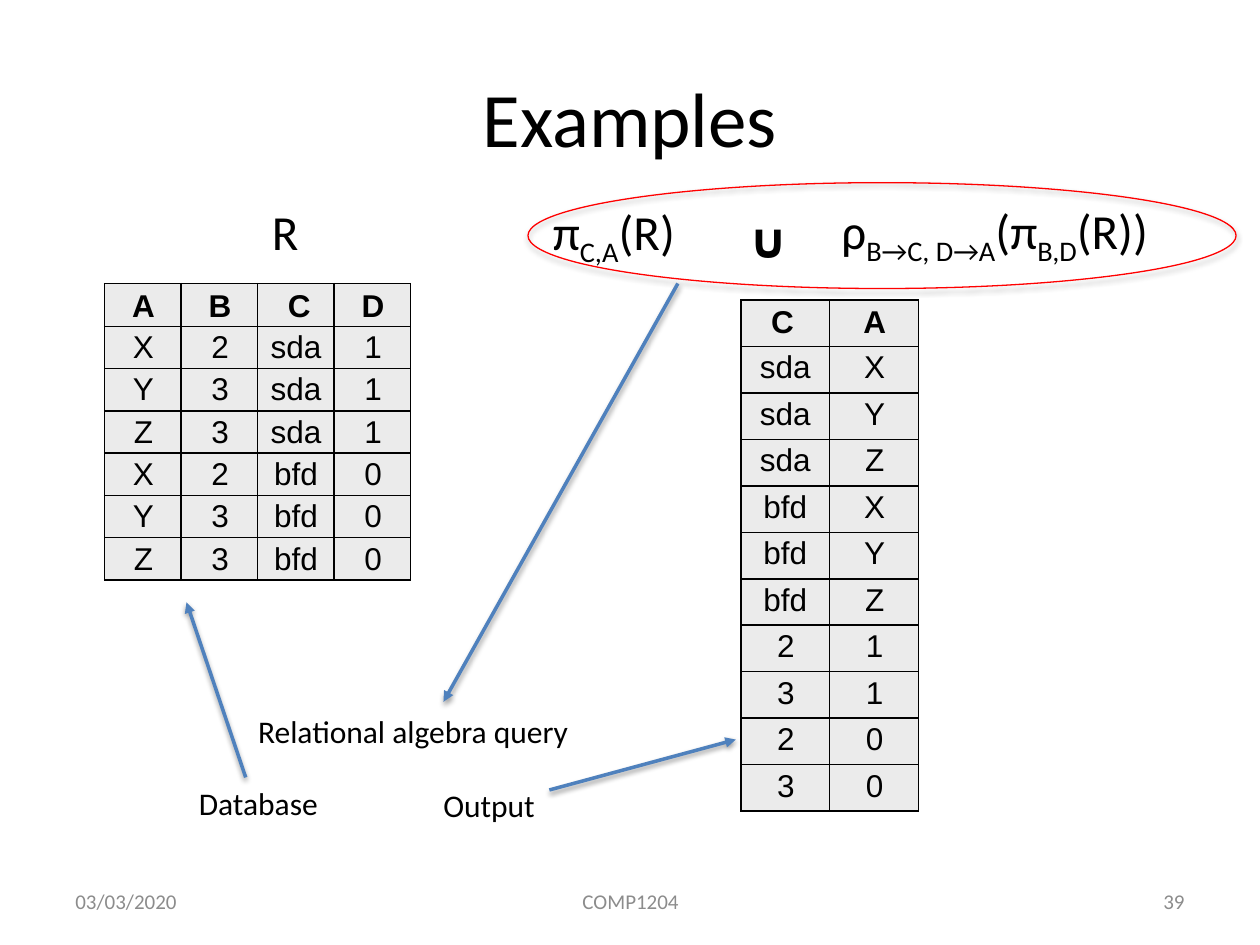
from lxml.etree import SubElement
from pptx import Presentation
from pptx.dml.color import RGBColor
from pptx.enum.shapes import MSO_CONNECTOR, MSO_SHAPE
from pptx.enum.text import MSO_ANCHOR, PP_ALIGN
from pptx.oxml.ns import qn
from pptx.util import Inches, Pt

THEME = {
    "ink": "000000", "grey": "8C8C8C", "cell": "EBEBEB", "blue": "4F81BD",
    "red": "FF0000", "body": "Calibri", "grid": "Arial",
    "title": 44, "math": 28, "label": 18, "foot": 12,
}
LEFT, MID, RIGHT = PP_ALIGN.LEFT, PP_ALIGN.CENTER, PP_ALIGN.RIGHT

# Content: box, text, size, colour, alignment
TITLE = ((0.5, 0.3, 9, 1.25), "Examples", "title", "ink", MID)
FOOT = [
    ((0.5, 6.95, 2.33, 0.4), "03/03/2020", "foot", "grey", LEFT),
    ((3.42, 6.95, 3.17, 0.4), "COMP1204", "foot", "grey", MID),
    ((7.17, 6.95, 2.33, 0.4), "39", "foot", "grey", RIGHT),
]
LABELS = [
    ((1.95, 5.6, 2.69, 0.4), "Relational algebra query"),
    ((1.48, 6.17, 1.16, 0.4), "Database"),
    ((3.42, 6.19, 0.94, 0.4), "Output"),
]
# Formula parts alternate between normal text and subscript
MATH = [
    ((2.06, 1.55, 0.99, 0.57), ["R"], False),
    ((4.29, 1.55, 1.23, 0.57), ["π", "C,A", "(R)"], False),
    ((5.84, 1.61, 0.59, 0.57), ["∪"], True),
    ((6.58, 1.54, 3.3, 0.57), ["ρ", "Β→C, D→A", "(π", "B,D", "(R))"], False),
]
RING = (4.19, 1.45, 5.62, 0.84)
ARROWS = [
    ((5.38, 2.25), (3.52, 5.57)),
    ((1.95, 6.17), (1.48, 4.78)),
    ((4.36, 6.27), (5.84, 5.87)),
]
INPUT = ["ABCD"] + [(x, n, w, f) for w, f in (("sda", "1"), ("bfd", "0"))
                    for x, n in (("X", "2"), ("Y", "3"), ("Z", "3"))]
# The query result: both projections, without repeated rows
RESULT = ["CA"] + [(w, x) for x, n, w, f in INPUT[1:]]
RESULT += [(n, f) for f in "10" for n in "23"]
TABLES = [
    ((0.83, 2.25, 2.43, 2.35), INPUT),
    ((5.88, 2.38, 1.41, 4.06), RESULT),
]


def color(name):
    return RGBColor.from_string(THEME[name])


def style(run, size, tint="ink", face="body", bold=False):
    font = run.font
    font.name, font.size, font.bold = THEME[face], Pt(THEME[size]), bold
    font.color.rgb = color(tint)


def text(slide, box, parts, size, tint="ink", align=LEFT, bold=False,
         anchor=MSO_ANCHOR.TOP, wrap=False):
    frame = slide.shapes.add_textbox(*map(Inches, box)).text_frame
    frame.word_wrap, frame.vertical_anchor = wrap, anchor
    para = frame.paragraphs[0]
    para.alignment = align
    for i, part in enumerate(parts):
        run = para.add_run()
        run.text = part
        style(run, size, tint, bold=bold)
        if i % 2:
            run.font._element.set("baseline", "-25000")


def shadow(shape, alpha):
    props = shape._element.spPr
    for old in props.findall(qn("a:effectLst")):
        props.remove(old)
    cast = SubElement(SubElement(props, qn("a:effectLst")), qn("a:outerShdw"),
                      blurRad=str(Pt(3.1)), dist=str(Pt(1.7)), dir="5400000",
                      rotWithShape="0")
    black = SubElement(cast, qn("a:srgbClr"), val=THEME["ink"])
    SubElement(black, qn("a:alpha"), val=str(alpha * 1000))


def arrow(slide, start, end):
    line = slide.shapes.add_connector(MSO_CONNECTOR.STRAIGHT,
                                      *map(Inches, start + end))
    line.line.color.rgb, line.line.width = color("blue"), Pt(2)
    SubElement(line.line._get_or_add_ln(), qn("a:tailEnd"), type="triangle")
    shadow(line, 38)


def border(cell):
    props = cell._tc.get_or_add_tcPr()
    for side in ("lnL", "lnR", "lnT", "lnB"):
        edge = SubElement(props, qn("a:" + side), w=str(Pt(1)))
        fill = SubElement(edge, qn("a:solidFill"))
        SubElement(fill, qn("a:srgbClr"), val=THEME["ink"])


def fill(cell, word, head):
    cell.margin_left = cell.margin_right = cell.margin_bottom = 0
    cell.margin_top = Inches(0.04 if head else 0.03)
    border(cell)
    cell.fill.solid()
    cell.fill.fore_color.rgb = color("cell")
    para = cell.text_frame.paragraphs[0]
    para.text = word
    para.space_before = Pt(4 if head else 3.4)
    # The C heading is set off from the left edge, all else is centred
    shift = head and word == "C"
    para.alignment = LEFT if shift else MID
    indent = 0.24 if shift else 0.01 if len(word) == 1 else 0
    props = para._p.get_or_add_pPr()
    props.set("marL", str(Inches(indent)))
    props.set("indent", "0")
    style(para.runs[0], "label", face="grid", bold=head)


def grid(slide, box, rows):
    high, wide = len(rows), len(rows[0])
    table = slide.shapes.add_table(high, wide, *map(Inches, box)).table
    for col in table.columns:
        col.width = Inches(box[2] / wide)
    for r, row in enumerate(rows):
        table.rows[r].height = Inches(box[3] / high)
        for c, word in enumerate(row):
            fill(table.cell(r, c), word, r == 0)


def main():
    deck = Presentation()
    deck.slide_width, deck.slide_height = Inches(10), Inches(7.5)
    slide = deck.slides.add_slide(deck.slide_layouts[6])

    # Title and footer
    for box, words, size, tint, align in [TITLE] + FOOT:
        text(slide, box, [words], size, tint, align,
             anchor=MSO_ANCHOR.MIDDLE, wrap=True)

    # Tables and formulas
    for box, rows in TABLES:
        grid(slide, box, rows)
    for box, parts, bold in MATH:
        text(slide, box, parts, "math", bold=bold)

    # Ring around the query
    ring = slide.shapes.add_shape(MSO_SHAPE.OVAL, *map(Inches, RING))
    ring.fill.background()
    ring.line.color.rgb, ring.line.width = color("red"), Pt(0.75)
    shadow(ring, 35)

    # Labels and their arrows
    for box, words in LABELS:
        text(slide, box, [words], "label")
    for start, end in ARROWS:
        arrow(slide, start, end)

    deck.save("out.pptx")


if __name__ == "__main__":
    main()
